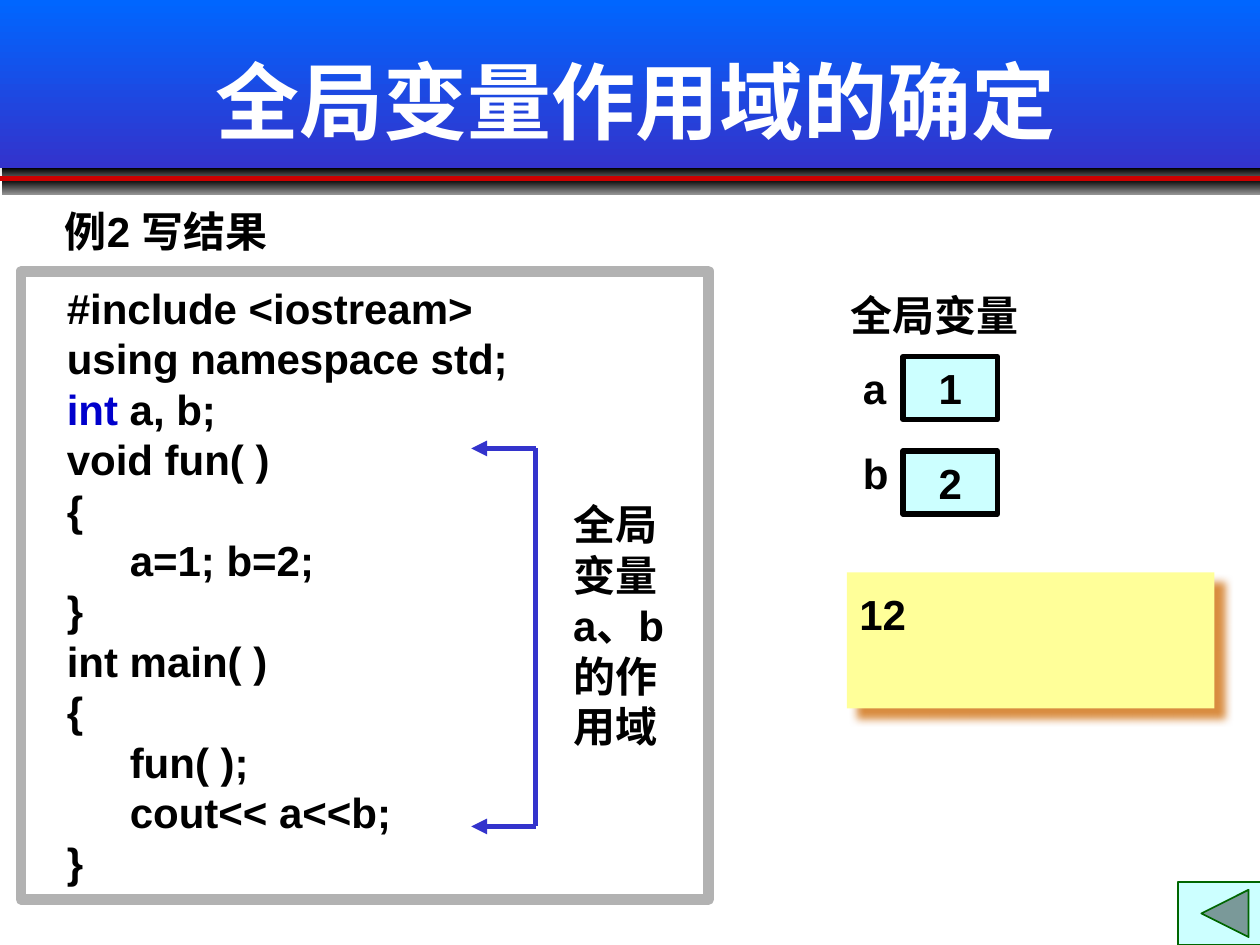
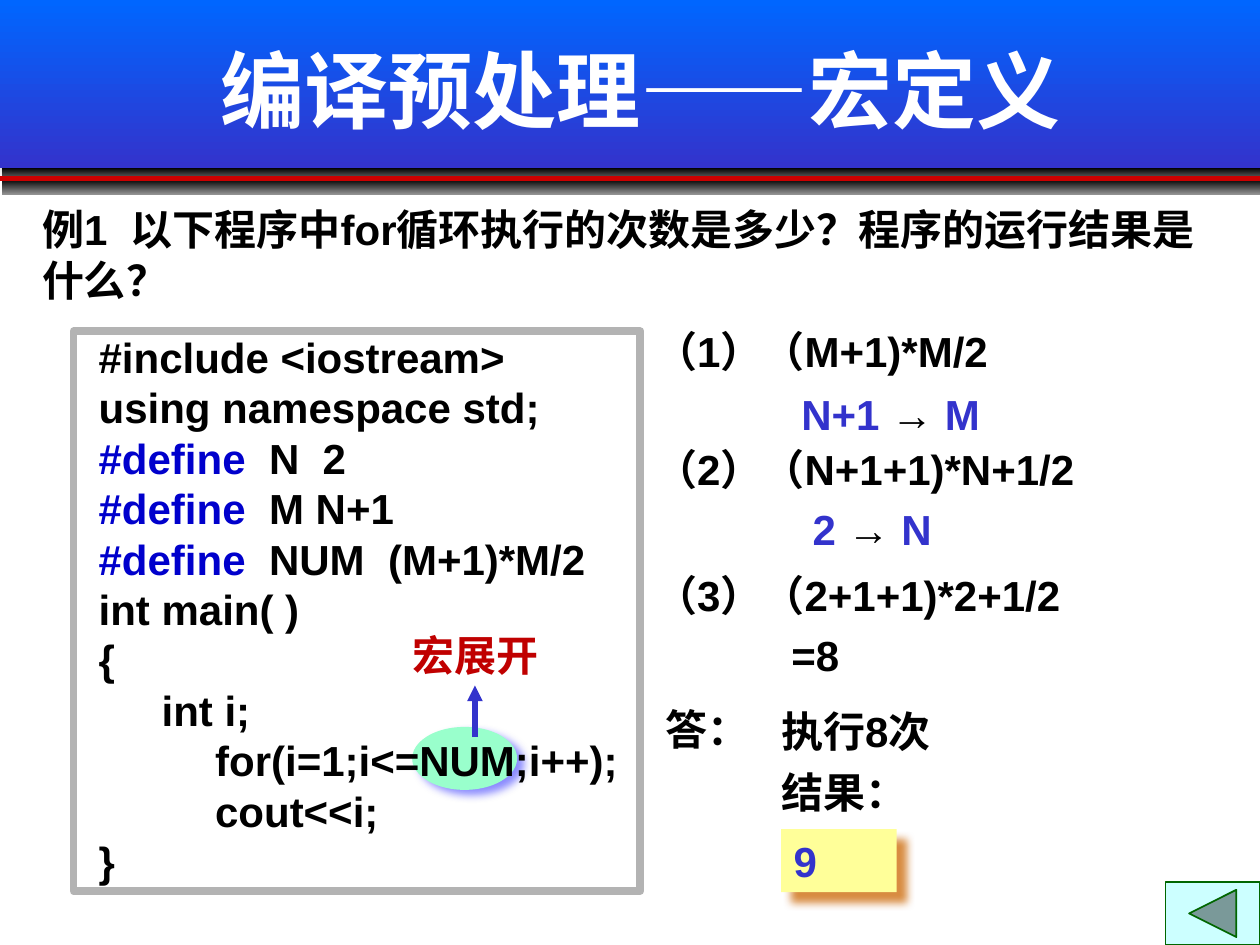
import dataclasses

import lxml.etree
import pptx
import pptx.dml.color
import pptx.enum.shapes
import pptx.enum.text
import pptx.oxml.ns
import pptx.util

Pt = pptx.util.Pt
qn = pptx.oxml.ns.qn
SHAPE = pptx.enum.shapes.MSO_SHAPE
ANCHOR = pptx.enum.text.MSO_ANCHOR
ALIGN = pptx.enum.text.PP_ALIGN


@dataclasses.dataclass(frozen=True)
class Theme:
    font: str = "Arial"
    title_size: int = 48
    body_size: int = 24
    text: str = "000000"
    title: str = "FFFFFF"
    keyword: str = "0000CC"
    accent: str = "3333CC"
    callout: str = "C00000"
    rule: str = "CC0000"
    band: tuple = ("0066FF", "3333CC")
    stripe: tuple = ("000000", "929292")
    cell: str = "CCFFFF"
    result: str = "FFFF99"
    highlight: str = "99FFCC"
    button_line: str = "006600"
    # colour, blur, distance, angle
    band_shadow: tuple = ("808080", 5, 3, 45)
    result_shadow: tuple = ("CC6600", 5, 8.5, 45)
    highlight_shadow: tuple = ("6666FF", 5, 5, 37)


THEME = Theme()
PAGE_WIDTH, PAGE_HEIGHT = 720, 540
LINE_HEIGHT = 28.8
BOX_INSETS = (7.2, 3.6, 7.2, 3.6)
NO_INSETS = (0, 0, 0, 0)

# A paragraph is a string, or a list of (text, theme colour) spans.
SCOPE_TITLE = "全局变量作用域的确定"
SCOPE_EXAMPLE = "例2 写结果"
SCOPE_CODE = [
    "#include <iostream>",
    "using namespace std;",
    [("int", "keyword"), (" a, b;", "text")],
    "void fun( )",
    "{",
    "\ta=1; b=2;",
    "}",
    "int main( )",
    "{",
    "\tfun( );",
    "\tcout<< a<<b;",
    "}",
]
SCOPE_NOTE = "全局变量a、b的作用域"
VARIABLES_HEADING = "全局变量"
VARIABLES = [("a", "1", 203.8), ("b", "2", 252)]  # name, value, top of name
SCOPE_OUTPUT = "12"

MACRO_TITLE = "编译预处理——宏定义"
MACRO_QUESTION = "例1  以下程序中for循环执行的次数是多少？程序的运行结果是什么？"
MACRO_CODE = [
    "#include <iostream>",
    "using namespace std;",
    *[[("#define  ", "keyword"), (macro, "text")]
      for macro in ("N  2", "M N+1", "NUM  (M+1)*M/2")],
    "int main( )",
    "{",
    "\tint i;",
    "          for(i=1;i<=NUM;i++);",
    "          cout<<i;",
    "}",
]
MACRO_CALLOUT = "宏展开"
MACRO_STEPS = [  # left, top, width, paragraph
    (374.4, 185.8, 264, "（1）（M+1)*M/2"),
    (457.9, 221.8, 162, [("N+1 ", "accent"), ("→", "text"), (" M", "accent")]),
    (374.4, 253.4, 264, "（2）（N+1+1)*N+1/2"),
    (464.4, 288, 96, [("2 ", "accent"), ("→ ", "text"), ("N", "accent")]),
    (374.4, 325.4, 264, "（3）（2+1+1)*2+1/2"),
    (452.2, 360, 66, "=8"),
    (380.2, 401.8, 78, "答："),
    (446.4, 403.2, 180, "执行8次"),
    (446.4, 437.8, 180, "结果："),
]
MACRO_OUTPUT = [("9", "accent")]


def rgb(value):
    return pptx.dml.color.RGBColor.from_string(value)


def points(*values):
    return [Pt(value) for value in values]


def write(box, paragraphs, insets=BOX_INSETS, size=THEME.body_size, color="text",
          align=ALIGN.LEFT, anchor=ANCHOR.TOP):
    frame = box.text_frame
    frame.word_wrap = True
    frame.vertical_anchor = anchor
    (frame.margin_left, frame.margin_top,
     frame.margin_right, frame.margin_bottom) = points(*insets)
    for index, content in enumerate(paragraphs):
        para = frame.add_paragraph() if index else frame.paragraphs[0]
        para.alignment = align
        spans = [(content, color)] if isinstance(content, str) else content
        for text, role in spans:
            span = para.add_run()
            span.text = text
            span.font.name = THEME.font
            span.font.size = Pt(size)
            span.font.bold = True
            span.font.color.rgb = rgb(getattr(THEME, role))


def add_text(page, area, content, **style):
    box = page.shapes.add_textbox(*points(*area))
    write(box, [content], **style)


def add_box(page, area, fill=None, line=None, shadow=None, kind=SHAPE.RECTANGLE):
    """Add a shape; fill is a colour or a top-to-bottom pair, line is (colour, width)."""
    box = page.shapes.add_shape(kind, *points(*area))
    if fill is None:
        box.fill.background()
    elif isinstance(fill, tuple):
        box.fill.gradient()
        box.fill.gradient_angle = 270
        for stop, color in zip(box.fill.gradient_stops, fill):
            stop.color.rgb = rgb(color)
    else:
        box.fill.solid()
        box.fill.fore_color.rgb = rgb(fill)
    if line:
        box.line.color.rgb = rgb(line[0])
        box.line.width = Pt(line[1])
    else:
        box.line.fill.background()
    box.shadow.inherit = False
    if shadow:
        add_shadow(box, *shadow)
    return box


def add_shadow(box, color, blur, distance, angle):
    effects = box.element.spPr.find(qn("a:effectLst"))
    outer = lxml.etree.SubElement(
        effects, qn("a:outerShdw"), blurRad=str(Pt(blur)), dist=str(Pt(distance)),
        dir=str(angle * 60000), algn="ctr", rotWithShape="0")
    shade = lxml.etree.SubElement(outer, qn("a:srgbClr"), val=color)
    lxml.etree.SubElement(shade, qn("a:alpha"), val="75000")


def add_line(page, start, end, color=THEME.accent, arrow=False):
    line = page.shapes.add_connector(
        pptx.enum.shapes.MSO_CONNECTOR.STRAIGHT, *points(*start, *end))
    line.line.color.rgb = rgb(color)
    line.line.width = Pt(3)
    properties = line.element.spPr
    if arrow:
        lxml.etree.SubElement(properties.find(qn("a:ln")), qn("a:tailEnd"), type="triangle")
    lxml.etree.SubElement(properties, qn("a:effectLst"))


def add_page(deck, title, title_area, button_left):
    page = deck.slides.add_slide(deck.slide_layouts[6])
    add_box(page, (0, 0, PAGE_WIDTH, 96), THEME.band, shadow=THEME.band_shadow)
    for top in (96, 102.4):
        add_box(page, (1, top, PAGE_WIDTH - 1, 8.8), THEME.stripe)
    add_line(page, (0, 102.2), (PAGE_WIDTH, 102.2), THEME.rule)
    add_text(page, title_area, title, size=THEME.title_size, color="title",
             align=ALIGN.CENTER, anchor=ANCHOR.MIDDLE)
    add_box(page, (button_left, 504, 54, 36), THEME.cell, (THEME.button_line, 1),
            kind=SHAPE.ACTION_BUTTON_BACK_OR_PREVIOUS)
    return page


def build_scope_page(deck):
    page = add_page(deck, SCOPE_TITLE, (-6, 12, 738, 90), button_left=673)
    add_text(page, (30, 114, 360, 36), SCOPE_EXAMPLE)
    code = add_box(page, (12, 155, 393, 359), line=("B2B2B2", 6))
    write(code, SCOPE_CODE, insets=(26.2, 6.4, 0, 0))

    spine, tip, top, bottom = 306, 269.3, 256.3, 472.3
    add_line(page, (spine, top), (spine, bottom))
    for height in (top, bottom):
        add_line(page, (spine, height), (tip, height), arrow=True)
    add_text(page, (320.4, 281.5, 73.4, 151.2), SCOPE_NOTE)

    add_text(page, (478.8, 162, 116.6, 36), VARIABLES_HEADING)
    for index, (name, value, name_top) in enumerate(VARIABLES):
        cell = add_box(page, (516, 203.8 + 54 * index, 54, 36), THEME.cell, (THEME.text, 3))
        write(cell, [value], align=ALIGN.CENTER, anchor=ANCHOR.MIDDLE)
        add_text(page, (486, name_top, 36, 36), name)

    output = add_box(page, (484, 327, 210, 77.8), THEME.result, shadow=THEME.result_shadow)
    write(output, [SCOPE_OUTPUT], insets=(7.2, 9.3, 7.2, 3.6))


def build_macro_page(deck):
    page = add_page(deck, MACRO_TITLE, (60, 6, 612, 90), button_left=666)
    add_box(page, (235.5, 415.4, 60, 36), THEME.highlight,
            shadow=THEME.highlight_shadow, kind=SHAPE.OVAL)
    add_line(page, (271.4, 421.2), (271.4, 391.7), arrow=True)
    add_text(page, (24, 116.6, 666, 2 * LINE_HEIGHT), MACRO_QUESTION, insets=NO_INSETS)
    code = add_box(page, (42, 189.4, 324, 319.7), line=("B3B3B3", 4.5))
    write(code, MACRO_CODE, insets=(14.4, 0, 0, 0))
    add_text(page, (235.5, 360, 96, LINE_HEIGHT), MACRO_CALLOUT,
             insets=NO_INSETS, color="callout")
    for left, top, width, content in MACRO_STEPS:
        add_text(page, (left, top, width, LINE_HEIGHT), content, insets=NO_INSETS)
    output = add_box(page, (446.4, 473.8, 66, 36), THEME.result, shadow=THEME.result_shadow)
    write(output, [MACRO_OUTPUT])


def main():
    deck = pptx.Presentation()
    deck.slide_width, deck.slide_height = points(PAGE_WIDTH, PAGE_HEIGHT)
    build_scope_page(deck)
    build_macro_page(deck)
    deck.save("out.pptx")


if __name__ == "__main__":
    main()
